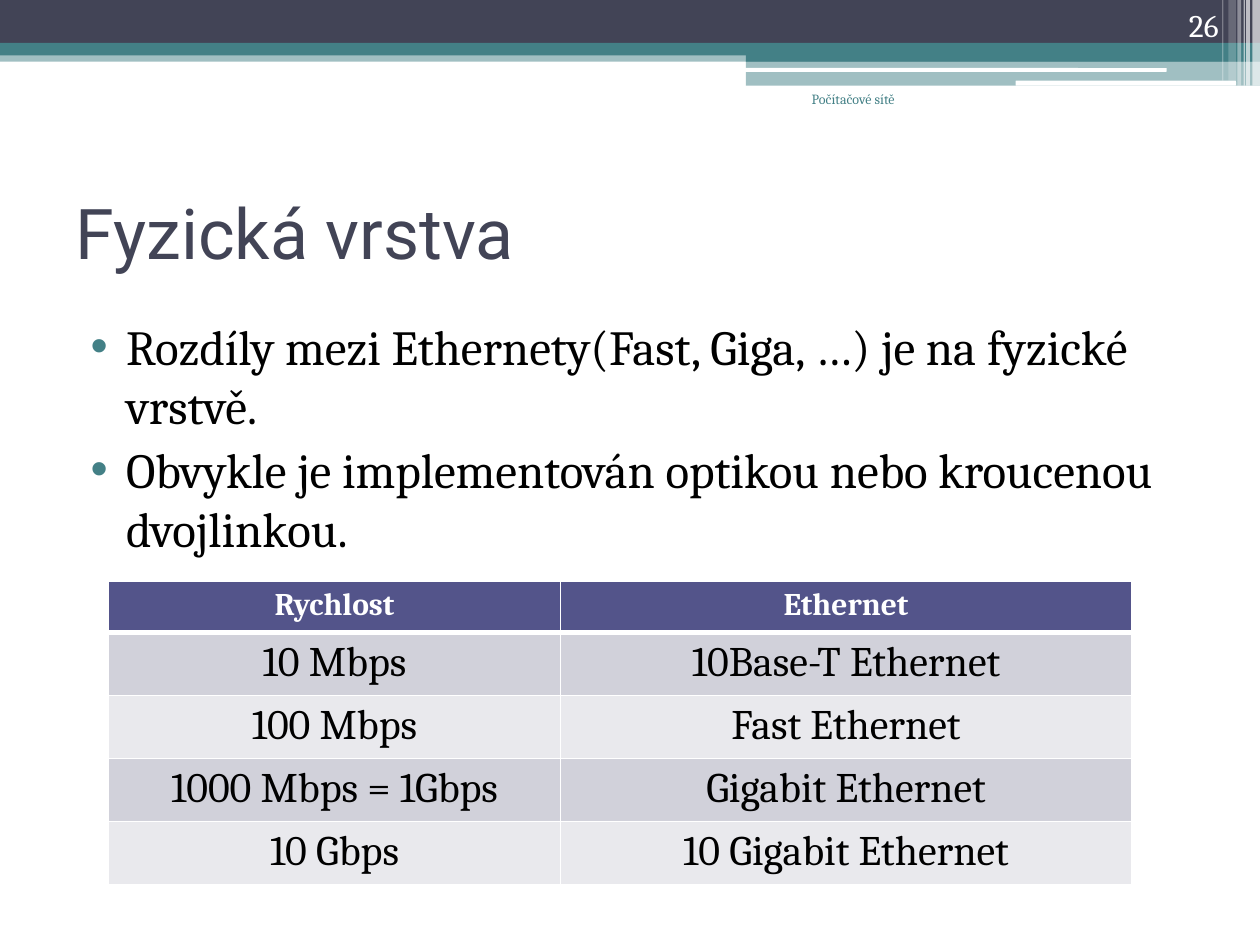
from dataclasses import dataclass
from lxml.etree import SubElement
from pptx import Presentation
from pptx.dml.color import RGBColor
from pptx.enum.shapes import MSO_SHAPE
from pptx.enum.text import MSO_ANCHOR, MSO_AUTO_SIZE, PP_ALIGN
from pptx.oxml.ns import qn
from pptx.util import Inches, Pt

UNIT = Inches(0.1)
COLS, ROWS = 100, 75
HUES = {
    "white": "FFFFFF", "black": "000000", "navy": "424456", "teal": "438086",
    "head": "53548A", "dark": "D1D1DA", "light": "E9E9ED",
}


@dataclass
class Box:
    col: float
    row: float
    wide: float
    high: float

    def area(self) -> tuple:
        return tuple(round(n * UNIT) for n in (self.col, self.row, self.wide, self.high))


@dataclass
class Bar:
    box: Box
    hue: str
    alpha: int = 100
    round: bool = False


@dataclass
class Type:
    size: int
    hue: str
    face: str = "Cambria"
    bold: bool = False
    align: PP_ALIGN = PP_ALIGN.LEFT


BARS = [
    Bar(Box(0, 4, COLS, 0.9), "teal", 50),
    Bar(Box(0, 0, COLS, 3.4), "navy"),
    Bar(Box(0, 3.4, COLS, 1), "teal"),
    Bar(Box(59.2, 3.9, 40.8, 1), "teal"),
    Bar(Box(59.2, 4.8, 40.8, 2), "teal", 50),
    Bar(Box(59.1, 5.4, 33.5, 0.3), "white", round=True),
    Bar(Box(80.6, 6.4, 17.5, 0.4), "white", round=True),
    Bar(Box(99.4, 0, 0.6, 6.8), "white", 65),
    Bar(Box(98.9, 0, 0.3, 6.8), "white", 65),
    Bar(Box(98.7, 0, 0.1, 6.8), "white", 60),
    Bar(Box(98.2, 0, 0.3, 6.8), "white", 40),
    Bar(Box(97.5, 0, 0.6, 6.4), "white", 20),
    Bar(Box(97, 0, 0.1, 6.4), "white", 30),
]
LIST = [
    "Rozdíly mezi Ethernety(Fast, Giga, …) je na fyzické vrstvě.",
    "Obvykle je implementován optikou nebo kroucenou dvojlinkou.",
]
SPEEDS = [
    ("Rychlost", "Ethernet"),
    ("10 Mbps", "10Base-T Ethernet"),
    ("100 Mbps", "Fast Ethernet"),
    ("1000 Mbps = 1Gbps", "Gigabit Ethernet"),
    ("10 Gbps", "10 Gigabit Ethernet"),
]


def tint(hue: str) -> RGBColor:
    return RGBColor.from_string(HUES[hue])


def style(para, kind: Type) -> None:
    para.alignment = kind.align
    font = para.font
    font.name, font.size, font.bold = kind.face, Pt(kind.size), kind.bold
    font.color.rgb = tint(kind.hue)


def place(shape, box: Box) -> None:
    shape.left, shape.top, shape.width, shape.height = box.area()


def draw(slide, bar: Bar) -> None:
    form = MSO_SHAPE.ROUNDED_RECTANGLE if bar.round else MSO_SHAPE.RECTANGLE
    shape = slide.shapes.add_shape(form, *bar.box.area())
    shape.shadow.inherit = False
    shape.line.fill.background()
    shape.fill.solid()
    shape.fill.fore_color.rgb = tint(bar.hue)
    if bar.alpha < 100:
        clr = shape.fill._xPr.find(qn("a:solidFill"))[0]
        SubElement(clr, qn("a:alpha"), val=str(bar.alpha * 1000))


def label(slide, box: Box, text: str, kind: Type, anchor: MSO_ANCHOR) -> None:
    frame = slide.shapes.add_textbox(*box.area()).text_frame
    frame.word_wrap = True
    frame.vertical_anchor = anchor
    frame.text = text
    style(frame.paragraphs[0], kind)


def bullet(para) -> None:
    para.space_before = Pt(3)
    props = para._p.get_or_add_pPr()
    props.set("marL", str(Inches(0.4)))
    props.set("indent", str(Inches(-0.28)))
    clr = SubElement(props, qn("a:buClr"))
    SubElement(clr, qn("a:srgbClr"), val=HUES["teal"])
    SubElement(props, qn("a:buFont"), typeface="Arial")
    SubElement(props, qn("a:buChar"), char="•")


def edge(cell, base: int) -> None:
    props = cell._tc.get_or_add_tcPr()
    for spot, (side, width) in enumerate(zip("LRTB", (1, 1, 1, base))):
        line = props.makeelement(qn(f"a:ln{side}"), {"w": str(Pt(width))})
        fill = SubElement(line, qn("a:solidFill"))
        SubElement(fill, qn("a:srgbClr"), val=HUES["white"])
        props.insert(spot, line)


def grid(slide, box: Box, wides: tuple) -> None:
    table = slide.shapes.add_table(len(SPEEDS), len(wides), *box.area()).table
    for col, wide in zip(table.columns, wides):
        col.width = round(wide * UNIT)
    for r, row in enumerate(SPEEDS):
        table.rows[r].height = round(4.1 * UNIT)
        top = r == 0
        hue = "head" if top else ("light", "dark")[r % 2]
        kind = Type(18 if top else 24, "white" if top else "black",
                    bold=top, align=PP_ALIGN.CENTER)
        for c, text in enumerate(row):
            cell = table.cell(r, c)
            cell.text = text
            cell.fill.solid()
            cell.fill.fore_color.rgb = tint(hue)
            style(cell.text_frame.paragraphs[0], kind)
            edge(cell, 3 if top else 1)


def main() -> None:
    deck = Presentation()
    deck.slide_width, deck.slide_height = COLS * UNIT, ROWS * UNIT
    slide = deck.slides.add_slide(deck.slide_layouts[1])
    for bar in BARS:
        draw(slide, bar)

    title, body = slide.placeholders
    place(title, Box(5, 12.5, 90, 11.7))
    title.text_frame.text = "Fyzická vrstva"
    title.text_frame.vertical_anchor = MSO_ANCHOR.MIDDLE
    style(title.text_frame.paragraphs[0], Type(40, "navy", "Roboto"))

    place(body, Box(5, 24.6, 90, 23.1))
    body.text_frame.text = "\n".join(LIST)
    body.text_frame.auto_size = MSO_AUTO_SIZE.NONE
    for para in body.text_frame.paragraphs:
        bullet(para)
        style(para, Type(28, "black"))

    label(slide, Box(57.5, 6.7, 14.5, 5), "Počítačové sítě",
          Type(8, "teal", align=PP_ALIGN.RIGHT), MSO_ANCHOR.TOP)
    label(slide, Box(89.4, 0, 8.3, 4), "26",
          Type(18, "white", align=PP_ALIGN.RIGHT), MSO_ANCHOR.BOTTOM)
    grid(slide, Box(8.6, 46.1, 81.2, 20.5), (35.9, 45.3))
    deck.save("out.pptx")


if __name__ == "__main__":
    main()
